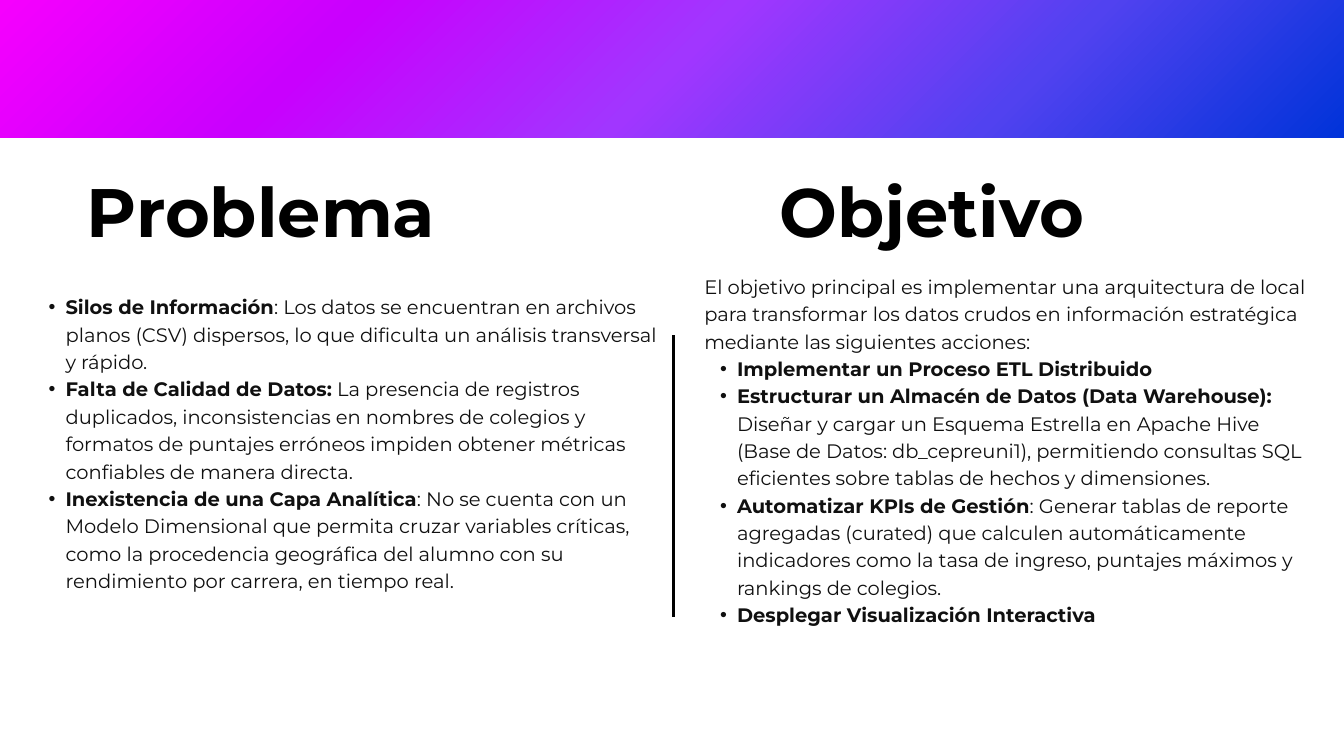
from lxml.etree import SubElement
from pptx import Presentation
from pptx.dml.color import RGBColor
from pptx.enum.shapes import MSO_CONNECTOR, MSO_SHAPE
from pptx.oxml.ns import qn
from pptx.util import Cm, Pt

COLORS = {"title": "000000", "body": "101010", "line": "000000"}
STOPS = ["F600FE", "C900FE", "A136FF", "5142F0", "0033D9"]
FONT = "Montserrat"


class Deck:
    def __init__(self, width, height):
        self.prs = Presentation()
        self.prs.slide_width, self.prs.slide_height = Cm(width), Cm(height)
        self.slide = self.prs.slides.add_slide(self.prs.slide_layouts[6])

    def band(self, x, y, w, h, stops):
        """Rectangle whose colours spread from its top left corner."""
        shape = self.slide.shapes.add_shape(
            MSO_SHAPE.RECTANGLE, Cm(x), Cm(y), Cm(w), Cm(h))
        shape.shadow.inherit = False
        shape.line.fill.background()
        shape.fill.gradient()
        grad = shape._element.spPr.find(qn("a:gradFill"))
        for child in list(grad):
            grad.remove(child)
        items = SubElement(grad, qn("a:gsLst"))
        for i, color in enumerate(stops):
            pos = i * 100000 // (len(stops) - 1)
            stop = SubElement(items, qn("a:gs"), pos=str(pos))
            SubElement(stop, qn("a:srgbClr"), val=color)
        way = SubElement(grad, qn("a:path"), path="circle")
        SubElement(way, qn("a:fillToRect"), l="0", t="0", r="100000", b="100000")

    def rule(self, x, top, end):
        line = self.slide.shapes.add_connector(
            MSO_CONNECTOR.STRAIGHT, Cm(x), Cm(top), Cm(x), Cm(end))
        line.line.color.rgb = RGBColor.from_string(COLORS["line"])
        line.line.width = Pt(3)
        SubElement(line._element.spPr, qn("a:effectLst"))

    def frame(self, x, y, w, h):
        frame = self.slide.shapes.add_textbox(
            Cm(x), Cm(y), Cm(w), Cm(h)).text_frame
        frame.word_wrap = True
        frame.margin_left = frame.margin_right = 0
        frame.margin_top = frame.margin_bottom = 0
        return frame

    def style(self, para, size, space, color):
        para.line_spacing = Pt(space)
        para.font.name = FONT
        para.font.size = Pt(size)
        para.font.color.rgb = RGBColor.from_string(COLORS[color])

    def title(self, x, y, w, h, text):
        para = self.frame(x, y, w, h).paragraphs[0]
        para.text = text
        self.style(para, 73.4, 102.8, "title")
        para.font.bold = True

    def body(self, x, y, w, h, points, intro=None):
        """Optional plain opening, then bullets of (bold, plain) text."""
        frame = self.frame(x, y, w, h)
        rows = [("", intro)] if intro else []
        for i, (bold, plain) in enumerate(rows + points):
            para = frame.add_paragraph() if i else frame.paragraphs[0]
            if bold:
                self.bullet(para)
            self.style(para, 20.9, 29.3, "body")
            for text, heavy in ((bold, True), (plain, False)):
                if text:
                    run = para.add_run()
                    run.text = text
                    run.font.bold = heavy

    def bullet(self, para):
        para.level = 1
        props = para._p.get_or_add_pPr()
        props.set("marL", str(Cm(1.24)))
        props.set("indent", str(-Cm(0.64)))
        SubElement(props, qn("a:buFont"), typeface="Arial")
        SubElement(props, qn("a:buChar"), char="•")


def main():
    deck = Deck(50.8, 28.58)

    # Left column: problem
    deck.title(3.28, 5.87, 23.32, 3.45, "Problema")
    deck.body(1.24, 11.02, 24.16, 12.32, [
        ("Silos de Información",
         ": Los datos se encuentran en archivos planos (CSV) dispersos, lo que "
         "dificulta un análisis transversal y rápido."),
        ("Falta de Calidad de Datos:",
         " La presencia de registros duplicados, inconsistencias en nombres de "
         "colegios y formatos de puntajes erróneos impiden obtener métricas "
         "confiables de manera directa."),
        ("Inexistencia de una Capa Analítica",
         ": No se cuenta con un Modelo Dimensional que permita cruzar variables "
         "críticas, como la procedencia geográfica del alumno con su "
         "rendimiento por carrera, en tiempo real."),
    ])

    # Right column: goal
    deck.body(26.62, 10.24, 22.96, 14.4, [
        ("Implementar un Proceso ETL Distribuido", ""),
        ("Estructurar un Almacén de Datos (Data Warehouse):",
         " Diseñar y cargar un Esquema Estrella en Apache Hive (Base de Datos: "
         "db_cepreuni1), permitiendo consultas SQL eficientes sobre tablas de "
         "hechos y dimensiones."),
        ("Automatizar KPIs de Gestión",
         ": Generar tablas de reporte agregadas (curated) que calculen "
         "automáticamente indicadores como la tasa de ingreso, puntajes "
         "máximos y rankings de colegios."),
        ("Desplegar Visualización Interactiva", ""),
    ], intro="El objetivo principal es implementar una arquitectura de local "
             "para transformar los datos crudos en información estratégica "
             "mediante las siguientes acciones:")

    # Top band and divider
    deck.band(0, 0, 50.8, 5.21, STOPS)
    deck.rule(25.45, 12.67, 23.34)

    deck.title(29.46, 5.87, 23.32, 3.45, "Objetivo")
    deck.prs.save("out.pptx")


if __name__ == "__main__":
    main()
